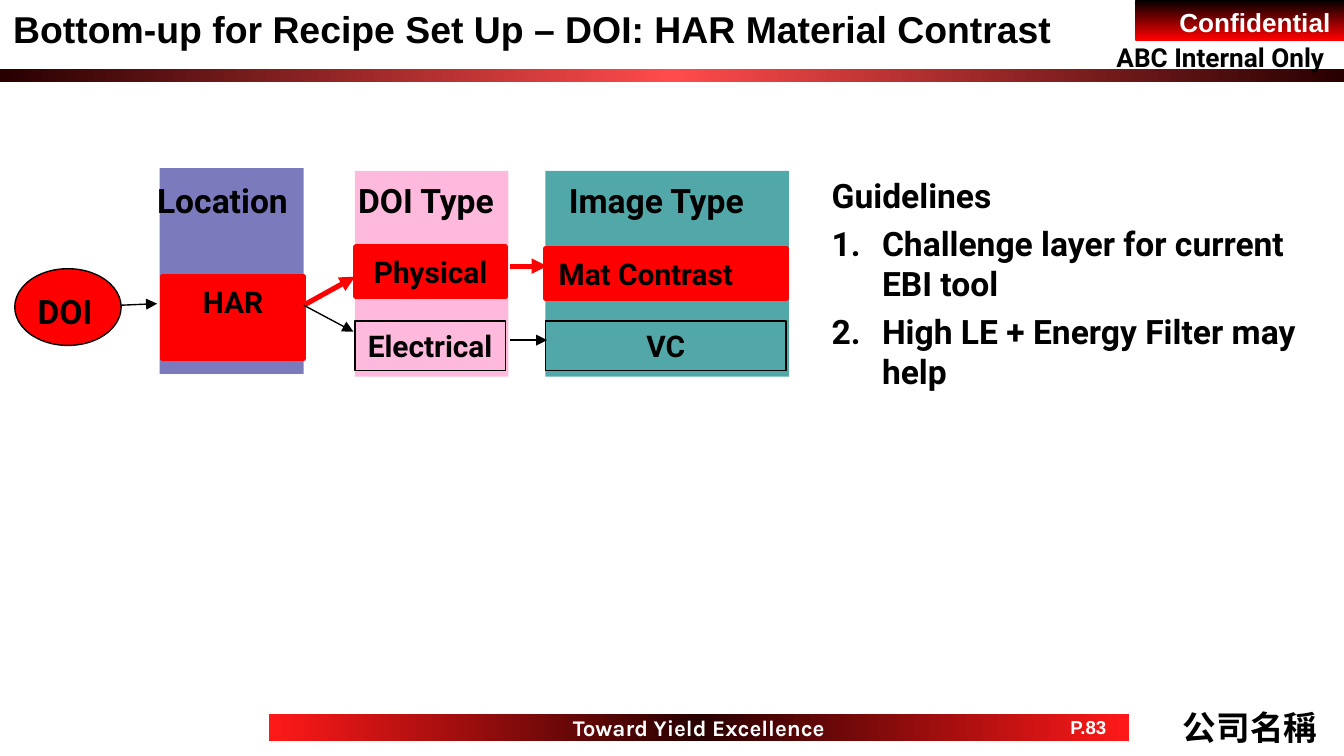
from lxml import etree
from pptx import Presentation
from pptx.dml.color import RGBColor
from pptx.enum.shapes import MSO_CONNECTOR, MSO_SHAPE
from pptx.enum.text import MSO_ANCHOR, PP_ALIGN
from pptx.oxml.ns import qn
from pptx.util import Cm, Pt

LEFT, CENTER, RIGHT = PP_ALIGN.LEFT, PP_ALIGN.CENTER, PP_ALIGN.RIGHT
TOP, MIDDLE = MSO_ANCHOR.TOP, MSO_ANCHOR.MIDDLE
RECTANGLE, OVAL = MSO_SHAPE.RECTANGLE, MSO_SHAPE.OVAL
STRAIGHT = MSO_CONNECTOR.STRAIGHT
BLACK, WHITE, RED = "000000", "FFFFFF", "FF0000"
THIN, THICK = 0.75, 2.75


def color(value):
    """Turn a hex string into a colour."""
    return RGBColor.from_string(value)


def add_shape(slide, box, fill=None, line=None, width=THIN, kind=RECTANGLE, opacity=100):
    """Add a preset shape with an optional fill, outline and opacity."""
    shape = slide.shapes.add_shape(kind, *map(Cm, box))
    shape.shadow.inherit = False
    if fill:
        shape.fill.solid()
        shape.fill.fore_color.rgb = color(fill)
        if opacity < 100:
            rgb = shape.fill._xPr.find(".//" + qn("a:srgbClr"))
            etree.SubElement(rgb, qn("a:alpha"), val=str(opacity * 1000))
    else:
        shape.fill.background()
    if line:
        shape.line.color.rgb = color(line)
        shape.line.width = Pt(width)
    else:
        shape.line.fill.background()
    return shape


def add_gradient_bar(slide, box, stops, angle=0):
    """Add a bar whose gradient spreads the given colours evenly."""
    shape = add_shape(slide, box)
    shape.fill.gradient()
    gradient = shape.fill._xPr.find(qn("a:gradFill"))
    stop_list = gradient.find(qn("a:gsLst"))
    for stop in list(stop_list):
        stop_list.remove(stop)
    for index, value in enumerate(stops):
        position = 100000 * index // (len(stops) - 1)
        stop = etree.SubElement(stop_list, qn("a:gs"), pos=str(position))
        etree.SubElement(stop, qn("a:srgbClr"), val=value)
    gradient.find(qn("a:lin")).set("ang", str(angle * 60000))
    return shape


def style_paragraph(paragraph, size, font="Roboto", ink=BLACK, align=LEFT):
    """Give a paragraph its alignment and bold font."""
    paragraph.alignment = align
    paragraph.font.size = Pt(size)
    paragraph.font.name = font
    paragraph.font.bold = True
    paragraph.font.color.rgb = color(ink)


def write(shape, text, size, anchor=TOP, side=0.25, **style):
    """Write one styled paragraph into a shape."""
    frame = shape.text_frame
    frame.word_wrap = True
    frame.vertical_anchor = anchor
    frame.margin_left = frame.margin_right = Cm(side)
    frame.paragraphs[0].text = text
    style_paragraph(frame.paragraphs[0], size, **style)


def add_text(slide, box, text, size, **style):
    """Add a text box holding one paragraph."""
    write(slide.shapes.add_textbox(*map(Cm, box)), text, size, **style)


def add_arrow(slide, start, end, line=BLACK, width=THIN):
    """Add a straight arrow between two points."""
    arrow = slide.shapes.add_connector(STRAIGHT, *map(Cm, start + end))
    arrow.line.color.rgb = color(line)
    arrow.line.width = Pt(width)
    etree.SubElement(arrow.line._get_or_add_ln(), qn("a:tailEnd"), type="triangle")
    etree.SubElement(arrow._element.spPr, qn("a:effectLst"))


def add_headings(slide, box, headings, tabs):
    """Add column headings on one line, parted by tab stops."""
    text_box = slide.shapes.add_textbox(*map(Cm, box))
    properties = text_box.text_frame.paragraphs[0]._p.get_or_add_pPr()
    tab_list = etree.SubElement(properties, qn("a:tabLst"))
    for tab in tabs:
        etree.SubElement(tab_list, qn("a:tab"), pos=str(Cm(tab)), algn="l")
    write(text_box, "\t".join(headings), 18)


def add_guidelines(slide, box, heading, items):
    """Add a heading followed by a numbered list."""
    frame = slide.shapes.add_textbox(*map(Cm, box)).text_frame
    frame.word_wrap = True
    frame.text = heading
    style_paragraph(frame.paragraphs[0], 18)
    for item in items:
        paragraph = frame.add_paragraph()
        paragraph.text = item
        properties = paragraph._p.get_or_add_pPr()
        properties.set("marL", str(Cm(0.95)))
        properties.set("indent", str(-Cm(0.95)))
        etree.SubElement(properties, qn("a:buFont"), typeface="+mj-lt")
        etree.SubElement(properties, qn("a:buAutoNum"), type="arabicPeriod")
        paragraph.space_before = Pt(4)
        style_paragraph(paragraph, 18)


def add_frame(slide):
    """Add the header and footer bars with their labels."""
    add_gradient_bar(slide, (0, 1.3, 25.4, 0.25), ("280000", "FF4B4B", "280000"))
    badge = add_gradient_bar(slide, (21.46, 0, 3.94, 0.76), (BLACK, RED), 90)
    write(badge, "Confidential", 14, font="Arial", ink=WHITE, align=RIGHT)
    footer = add_gradient_bar(slide, (5.08, 13.49, 16.26, 0.51), ("FF1919", "280000", "FF1919"))
    write(footer, "Toward Yield Excellence", 12, anchor=MIDDLE, font="Karla", ink=WHITE, align=CENTER)
    add_text(slide, (19.81, 13.49, 1.52, 0.51), "P.83", 10,
             anchor=MIDDLE, font="Arial", ink=WHITE, align=CENTER)
    add_text(slide, (20.85, 0.66, 4.55, 0.86), "ABC Internal Only", 14)
    add_text(slide, (22.1, 13.23, 3.05, 1.02), "公司名稱", 18,
             anchor=MIDDLE, font="Arial", align=CENTER)
    add_text(slide, (0, 0, 21.59, 1.12),
             "Bottom-up for Recipe Set Up – DOI: HAR Material Contrast", 20, font="Arial")


def add_flow(slide):
    """Add the flow from the DOI through location and type to image type."""
    add_shape(slide, (0.28, 5.08, 2.01, 1.45), RED, BLACK, kind=OVAL)
    add_shape(slide, (10.31, 3.23, 4.6, 3.89), "008080", opacity=68)
    add_shape(slide, (6.71, 3.23, 2.9, 3.89), "FF99CC", opacity=68)
    add_shape(slide, (3.02, 3.18, 2.72, 3.89), "333399", opacity=65)
    add_text(slide, (0.46, 5.38, 1.8, 1.02), "DOI", 18)
    add_headings(slide, (2.72, 3.28, 22.3, 1.02),
                 ("Location", "DOI Type", "Image Type"), (3.8, 7.78))

    chosen, other = (RED, RED, THICK), (None, BLACK, THIN)
    steps = (
        ("HAR", (3.07, 5.23, 2.67, 1.55), chosen, 0, CENTER),
        ("Mat Contrast", (10.31, 4.7, 4.55, 0.94), chosen, 0.25, LEFT),
        ("VC", (10.31, 6.07, 4.55, 0.94), other, 0.25, CENTER),
        ("Physical", (6.73, 4.67, 2.82, 0.94), chosen, 0, CENTER),
        ("Electrical", (6.71, 6.07, 2.84, 0.94), other, 0, CENTER),
    )
    for text, box, look, side, align in steps:
        write(add_shape(slide, box, *look), text, 16, side=side, align=align)

    add_arrow(slide, (2.29, 5.77), (2.97, 5.74))
    add_arrow(slide, (5.74, 5.77), (6.71, 5.23), RED, THICK)
    add_arrow(slide, (5.74, 5.77), (6.68, 6.27))
    add_arrow(slide, (9.63, 6.43), (10.34, 6.43))
    add_arrow(slide, (9.63, 5.03), (10.34, 5.03), RED, THICK)


def main():
    """Build the slide and save it."""
    presentation = Presentation()
    presentation.slide_width, presentation.slide_height = Cm(25.4), Cm(14.29)
    slide = presentation.slides.add_slide(presentation.slide_layouts[6])
    add_frame(slide)
    add_flow(slide)
    add_guidelines(slide, (15.47, 3.18, 9.9, 5.33), "Guidelines",
                   ("Challenge layer for current EBI tool", "High LE + Energy Filter may help"))
    presentation.save("out.pptx")


if __name__ == "__main__":
    main()
